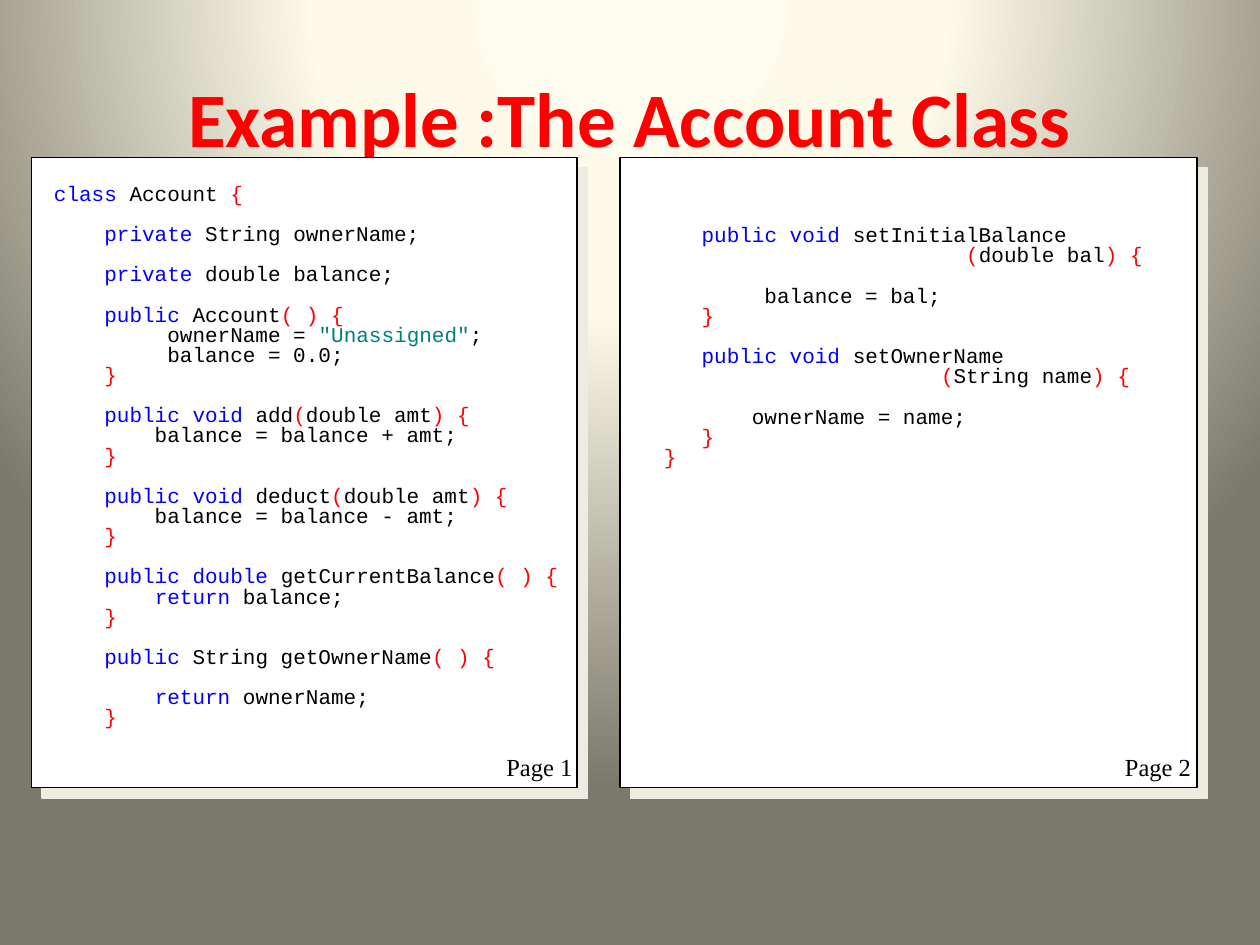
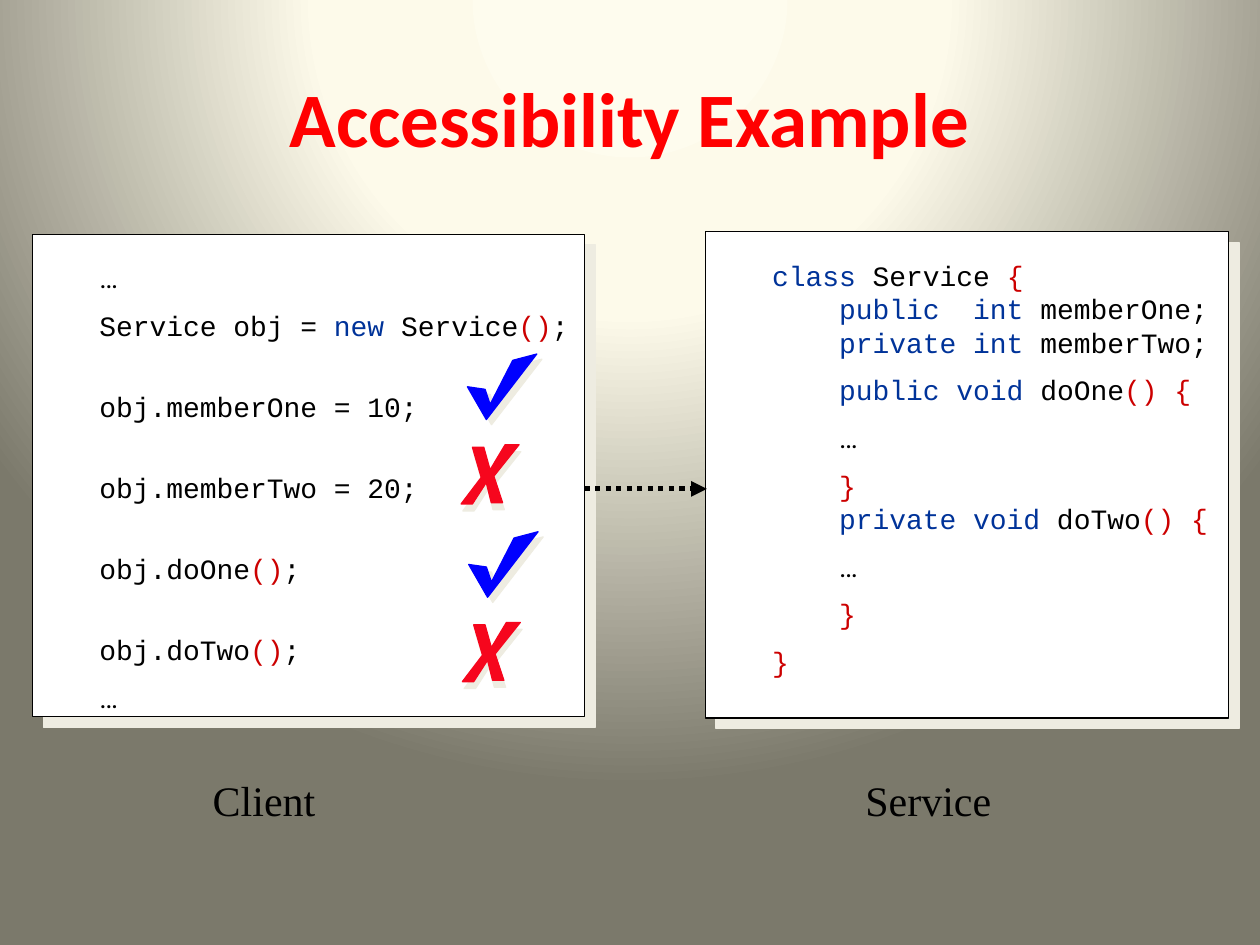
"""Build two slides on a Java class and on member accessibility."""
from dataclasses import dataclass
from typing import Any

from lxml.etree import SubElement
from pptx import Presentation
from pptx.dml.color import RGBColor
from pptx.enum.dml import MSO_LINE
from pptx.enum.shapes import MSO_CONNECTOR, MSO_SHAPE
from pptx.enum.text import MSO_ANCHOR, MSO_AUTO_SIZE, PP_ALIGN
from pptx.oxml import parse_xml
from pptx.oxml.ns import nsdecls, qn
from pptx.util import Inches, Pt


@dataclass(frozen=True)
class Theme:
    """Colours, fonts and type sizes of the deck."""
    title: str = "FF0000"
    ink: str = "000000"
    paper: str = "FFFFFF"
    shadow: str = "EEECE1"
    check: str = "0000FF"
    cross: str = "F6061D"
    backdrop: tuple = ((0, "FEFCEE"), (40, "FDFAEA"), (100, "7B796B"))
    title_font: str = "Calibri"
    code_font: str = "Courier New"
    dots_font: str = "Roboto"
    label_font: str = "Times New Roman"
    title_size: int = 44
    page_size: int = 14
    caption_size: int = 24


@dataclass(frozen=True)
class Palette:
    """Syntax colours and measures of one style of code."""
    keyword: str
    bracket: str
    literal: str
    size: float
    spacing: float
    gap: float
    indent: float = 0


@dataclass(frozen=True)
class Area:
    """A rectangle on the page, in inches."""
    left: float
    top: float
    width: float
    height: float

    def lengths(self) -> list:
        """Give the four measures as lengths."""
        return [Inches(n) for n in (self.left, self.top, self.width, self.height)]


@dataclass(frozen=True)
class Code:
    """A listing with coloured parts between backticks and gaps at empty lines."""
    area: Area
    text: str
    palette: Palette
    double_rows: range = range(0)


@dataclass(frozen=True)
class Label:
    """A short caption."""
    area: Area
    text: str
    size: float


@dataclass(frozen=True)
class Mark:
    """A closed outline with a fill and a shadow."""
    points: tuple
    color: str
    distance: float
    angle: float


THEME = Theme()
ACCOUNT = Palette("0000FF", "FF0000", "007F7F", 12, 0.8, 11.5)
ACCESS = Palette("003399", "CC0000", "007F7F", 16, 1.0, 8, 0.5)

ACCOUNT_FIRST = """
`class` Account `{`

    `private` String ownerName;

    `private` double balance;

    `public` Account`( ) {`
\t    ownerName = `"Unassigned"`;
\t    balance = 0.0;
    `}`

    `public void` add`(`double amt`) {`
        balance = balance + amt;
    `}`

    `public void` deduct`(`double amt`) {`
        balance = balance - amt;
    `}`

    `public double` getCurrentBalance`( ) {`
        `return` balance;
    `}`

    `public` String getOwnerName`( ) {`

        `return` ownerName;
    `}`
"""

ACCOUNT_SECOND = """
    `public void` setInitialBalance
                         `(`double bal`) {`

         balance = bal;
    `}`

    `public void` setOwnerName
                       `(`String name`) {`

        ownerName = name;
    `}`
 `}`
"""

SERVICE_CODE = """
`class` Service `{`
    `public  int` memberOne;
    `private int` memberTwo;

    `public void` doOne`() {`

    `…`

    `}`
    `private void` doTwo`() {`

    `…`

    `}`

`}`
"""

CLIENT_CODE = """
`…`

Service obj = `new` Service`()`;

obj.memberOne = 10;

obj.memberTwo = 20;

obj.doOne`()`;

obj.doTwo`()`;

`…`
"""

CHECK = Mark(((3.71, 3.07), (3.85, 3.09), (3.89, 3.21), (4.07, 2.86), (4.26, 2.81),
              (3.86, 3.33)), THEME.check, 4.2, 45)
CROSS = Mark(((3.75, 3.55), (3.84, 3.55), (3.89, 3.73), (4.01, 3.53), (4.12, 3.53),
              (3.92, 3.78), (3.99, 3.99), (3.9, 3.99), (3.86, 3.83), (3.75, 4),
              (3.66, 4), (3.82, 3.79)), THEME.cross, 4.1, 76)
MARK_STEP = (0.01, 1.41)


def apply(target: Any, values: dict) -> None:
    """Set every named attribute on the target."""
    for name, value in values.items():
        setattr(target, name, value)


def add_span(para: Any, text: str, font: str, size: float, color: str,
             bold: bool = False) -> None:
    """Add one formatted run."""
    span = para.add_run()
    span.text = text
    apply(span.font, {"name": font, "size": Pt(size), "bold": bold})
    span.font.color.rgb = RGBColor.from_string(color)


def paint_background(deck: Any) -> None:
    """Give all pages the round gradient."""
    master = deck.slide_master
    master.background.fill.solid()
    holder = master.element.xpath("./p:cSld/p:bg/p:bgPr")[0]
    stops = "".join(f'<a:gs pos="{pos * 1000}"><a:srgbClr val="{color}"/></a:gs>'
                    for pos, color in THEME.backdrop)
    holder.replace(holder[0], parse_xml(
        f'<a:gradFill {nsdecls("a")} rotWithShape="1"><a:gsLst>{stops}</a:gsLst>'
        '<a:path path="circle"><a:fillToRect l="50000" t="-80000" r="50000" b="180000"/>'
        '</a:path></a:gradFill>'))


def finish_shape(shape: Any, fill: str, line: str, distance: float, angle: float) -> None:
    """Set fill, outline and a hard shadow."""
    shape.fill.solid()
    shape.fill.fore_color.rgb = RGBColor.from_string(fill)
    shape.line.color.rgb = RGBColor.from_string(line)
    shape.line.width = Pt(0.75)
    shape.shadow.inherit = False
    effects = shape.element.spPr.find(qn("a:effectLst"))
    shadow = SubElement(effects, qn("a:outerShdw"), dist=str(Pt(distance)),
                        dir=str(angle * 60000), algn="ctr", rotWithShape="0")
    SubElement(shadow, qn("a:srgbClr"), val=THEME.shadow)


def add_panel(page: Any, area: Area) -> None:
    """Add a white sheet with a shadow."""
    box = page.shapes.add_shape(MSO_SHAPE.RECTANGLE, *area.lengths())
    finish_shape(box, THEME.paper, THEME.ink, 8.5, 45)


def add_title(page: Any, text: str) -> None:
    """Add the page title."""
    box = page.shapes.add_textbox(*Area(0.5, 0.3, 9, 1.25).lengths())
    apply(box.text_frame, {"word_wrap": True, "vertical_anchor": MSO_ANCHOR.MIDDLE})
    para = box.text_frame.paragraphs[0]
    para.alignment = PP_ALIGN.CENTER
    add_span(para, text, THEME.title_font, THEME.title_size, THEME.title, True)


def add_label(page: Any, label: Label) -> None:
    """Add a caption on one line."""
    box = page.shapes.add_textbox(*label.area.lengths())
    apply(box.text_frame, {"word_wrap": False, "auto_size": MSO_AUTO_SIZE.SHAPE_TO_FIT_TEXT})
    add_span(box.text_frame.paragraphs[0], label.text, THEME.label_font, label.size, THEME.ink)


def span_look(text: str, palette: Palette) -> tuple[str, str]:
    """Choose font and colour for a marked part of the code."""
    if text == "…":
        return THEME.dots_font, THEME.ink
    if text[0] == '"':
        return THEME.code_font, palette.literal
    return THEME.code_font, palette.bracket if text[0] in "(){}" else palette.keyword


def add_code(page: Any, code: Code) -> None:
    """Add a coloured listing, one paragraph a line."""
    palette = code.palette
    box = page.shapes.add_textbox(*code.area.lengths())
    box.text_frame.word_wrap = True
    row, gap = 0, 0
    for line in code.text.strip("\n").split("\n"):
        if not line:
            gap = palette.gap
            continue
        para = box.text_frame.add_paragraph() if row else box.text_frame.paragraphs[0]
        layout = para._p.get_or_add_pPr()
        layout.set("marL", str(Inches(palette.indent)))
        layout.set("indent", "0")
        if "\t" in line:
            tabs = SubElement(layout, qn("a:tabLst"))
            SubElement(tabs, qn("a:tab"), pos=str(Inches(0.5)), algn="l")
        spacing = 2.0 if row in code.double_rows else palette.spacing
        apply(para, {"line_spacing": spacing, "space_before": Pt(gap)})
        for index, part in enumerate(line.split("`")):
            if part:
                look = span_look(part, palette) if index % 2 else (THEME.code_font, THEME.ink)
                add_span(para, part, look[0], palette.size, look[1])
        row, gap = row + 1, 0


def add_mark(page: Any, mark: Mark, step: int) -> None:
    """Draw a check or cross, moved down by whole steps."""
    points = [(Inches(x + step * MARK_STEP[0]), Inches(y + step * MARK_STEP[1]))
              for x, y in mark.points]
    builder = page.shapes.build_freeform(*points[0])
    builder.add_line_segments(points[1:], close=True)
    finish_shape(builder.convert_to_shape(), mark.color, mark.color, mark.distance, mark.angle)


def add_dotted_arrow(page: Any, left: float, right: float, top: float) -> None:
    """Draw a level dotted arrow."""
    arrow = page.shapes.add_connector(MSO_CONNECTOR.STRAIGHT, Inches(left), Inches(top),
                                      Inches(right), Inches(top))
    apply(arrow.line, {"width": Pt(3), "dash_style": MSO_LINE.ROUND_DOT})
    arrow.line.color.rgb = RGBColor.from_string(THEME.ink)
    SubElement(arrow.line._get_or_add_ln(), qn("a:tailEnd"), type="triangle")
    SubElement(arrow._element.spPr, qn("a:effectLst"))


def build_account_page(page: Any) -> None:
    """Fill the page that lists the Account class."""
    add_panel(page, Area(4.92, 1.25, 4.58, 5))
    add_title(page, "Example :The Account Class")
    add_panel(page, Area(0.25, 1.25, 4.33, 5))
    add_code(page, Code(Area(0.33, 1.42, 4.25, 4.57), ACCOUNT_FIRST, ACCOUNT))
    add_code(page, Code(Area(5.07, 1.75, 4.13, 2.02), ACCOUNT_SECOND, ACCOUNT))
    for number, left in enumerate((3.92, 8.83), 1):
        add_label(page, Label(Area(left, 5.92, 0.73, 0.33), f"Page {number}", THEME.page_size))


def build_access_page(page: Any) -> None:
    """Fill the page that compares client and service."""
    add_title(page, "Accessibility Example")
    add_panel(page, Area(5.6, 1.84, 4.15, 3.86))
    add_code(page, Code(Area(5.53, 2, 4.22, 3.58), SERVICE_CODE, ACCESS))
    add_panel(page, Area(0.26, 1.86, 4.38, 3.83))
    add_code(page, Code(Area(0.19, 2.02, 4.45, 4.24), CLIENT_CODE, ACCESS, range(2, 6)))
    for step in range(2):
        for mark in (CHECK, CROSS):
            add_mark(page, mark, step)
    add_label(page, Label(Area(1.59, 6.1, 1.04, 0.5), "Client", THEME.caption_size))
    add_label(page, Label(Area(6.77, 6.1, 1.2, 0.5), "Service", THEME.caption_size))
    add_dotted_arrow(page, 4.64, 5.61, 3.88)


def main() -> None:
    """Build and save the deck."""
    deck = Presentation()
    apply(deck, {"slide_width": Inches(10), "slide_height": Inches(7.5)})
    paint_background(deck)
    for build in (build_account_page, build_access_page):
        build(deck.slides.add_slide(deck.slide_layouts[6]))
    deck.save("out.pptx")


if __name__ == "__main__":
    main()
